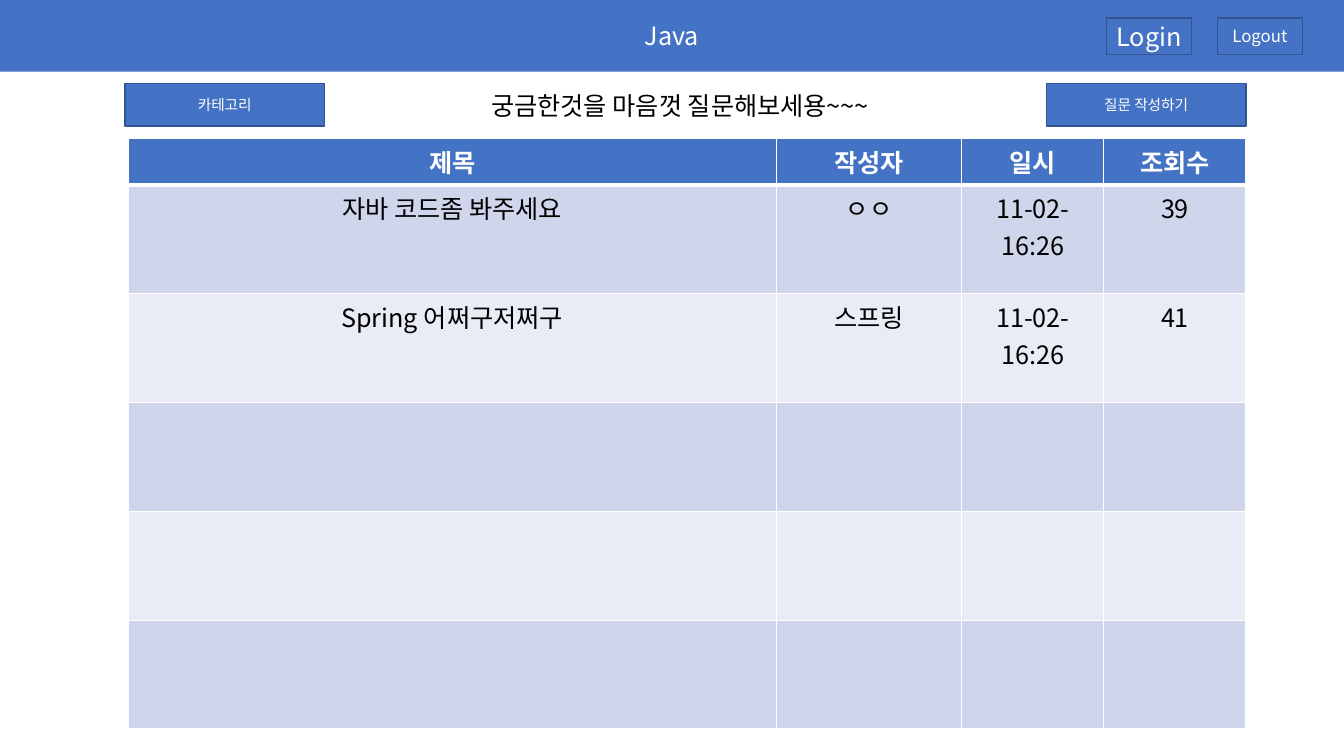
"""Build a question board slide with a banner, buttons and a table of posts."""
from dataclasses import dataclass

from lxml import etree
from pptx import Presentation
from pptx.dml.color import RGBColor
from pptx.enum.shapes import MSO_SHAPE
from pptx.enum.text import MSO_ANCHOR, PP_ALIGN
from pptx.oxml.ns import qn
from pptx.util import Inches, Pt

RECTANGLE = MSO_SHAPE.RECTANGLE
MIDDLE = MSO_ANCHOR.MIDDLE
CENTER = PP_ALIGN.CENTER
SLIDE_WIDTH = Inches(13.333)
SLIDE_HEIGHT = Inches(7.5)


@dataclass(frozen=True)
class Theme:
    font: str = "Noto Sans CJK KR"
    blue: str = "4472C4"
    outline: str = "325491"
    white: str = "FFFFFF"
    black: str = "000000"
    bands: tuple = ("CFD5EA", "E9EBF5")
    body: float = 18
    small: float = 12
    action: float = 10.5
    line: float = 1
    header_line: float = 3


@dataclass(frozen=True)
class Box:
    """Position and size as percentages of the slide."""
    left: float
    top: float
    width: float
    height: float

    def lengths(self) -> tuple:
        return (across(self.left), down(self.top),
                across(self.width), down(self.height))


@dataclass(frozen=True)
class Button:
    label: str
    box: Box
    size: float


THEME = Theme()
BANNER = Box(0, 0, 100, 9.47)
TAGLINE = Box(26.33, 11.33, 48.53, 5.33)
BOARD = Box(9.53, 18.27, 83.19, 77.2)
ACCOUNT_TOP, ACCOUNT_WIDTH, ACCOUNT_HEIGHT = 2.4, 6.3, 4.8
ACTION_TOP, ACTION_WIDTH, ACTION_HEIGHT = 11.07, 14.85, 5.6
BUTTONS = (
    Button("Login", Box(82.35, ACCOUNT_TOP, ACCOUNT_WIDTH, ACCOUNT_HEIGHT), THEME.body),
    Button("Logout", Box(90.6, ACCOUNT_TOP, ACCOUNT_WIDTH, ACCOUNT_HEIGHT), THEME.small),
    Button("질문 작성하기", Box(77.85, ACTION_TOP, ACTION_WIDTH, ACTION_HEIGHT), THEME.action),
    Button("카테고리", Box(9.3, ACTION_TOP, ACTION_WIDTH, ACTION_HEIGHT), THEME.action),
)
COLUMN_WIDTHS = (48.23, 13.8, 10.58, 10.58)
HEADER_HEIGHT, POST_HEIGHT, POST_ROWS = 5.2, 14.4, 5
HEADINGS = ("제목", "작성자", "일시", "조회수")
POSTS = (
    ("자바 코드좀 봐주세요", "ㅇㅇ", "11-02-16:26", "39"),
    ("Spring 어쩌구저쩌구", "스프링", "11-02-16:26", "41"),
)


def across(share: float) -> int:
    return round(SLIDE_WIDTH * share / 100)


def down(share: float) -> int:
    return round(SLIDE_HEIGHT * share / 100)


def paint(fill, color: str) -> None:
    fill.solid()
    fill.fore_color.rgb = RGBColor.from_string(color)


def write(frame, text: str, size: float, color: str, bold: bool = False) -> None:
    paragraph = frame.paragraphs[0]
    paragraph.alignment = CENTER
    run = paragraph.add_run()
    run.text = text
    font = run.font
    font.size, font.bold, font.name = Pt(size), bold, THEME.font
    font.color.rgb = RGBColor.from_string(color)
    east_asian = etree.SubElement(run._r.get_or_add_rPr(), qn("a:ea"))
    east_asian.set("typeface", THEME.font)


def prepare_frame(frame) -> None:
    frame.word_wrap = True
    frame.vertical_anchor = MIDDLE
    frame.margin_left = frame.margin_right = 0
    frame.margin_top = frame.margin_bottom = 0


def add_banner(slide) -> None:
    title = slide.shapes.title
    title.left, title.top, title.width, title.height = BANNER.lengths()
    paint(title.fill, THEME.blue)
    prepare_frame(title.text_frame)
    write(title.text_frame, "Java", THEME.body, THEME.white)


def add_button(slide, button: Button) -> None:
    shape = slide.shapes.add_shape(RECTANGLE, *button.box.lengths())
    shape.shadow.inherit = False
    paint(shape.fill, THEME.blue)
    paint(shape.line.fill, THEME.outline)
    shape.line.width = Pt(THEME.line)
    prepare_frame(shape.text_frame)
    write(shape.text_frame, button.label, button.size, THEME.white)


def add_tagline(slide) -> None:
    frame = slide.shapes.add_textbox(*TAGLINE.lengths()).text_frame
    frame.word_wrap = True
    write(frame, "궁금한것을 마음껏 질문해보세용~~~", THEME.body, THEME.black)


def add_borders(cell, bottom: float) -> None:
    properties = cell._tc.get_or_add_tcPr()
    widths = {"L": THEME.line, "R": THEME.line, "T": THEME.line, "B": bottom}
    for side, width in widths.items():
        border = etree.SubElement(properties, qn(f"a:ln{side}"), w=str(Pt(width)))
        fill = etree.SubElement(border, qn("a:solidFill"))
        etree.SubElement(fill, qn("a:srgbClr"), val=THEME.white)


def add_board(slide) -> None:
    table = slide.shapes.add_table(
        POST_ROWS + 1, len(HEADINGS), *BOARD.lengths()).table
    for column, width in zip(table.columns, COLUMN_WIDTHS):
        column.width = across(width)
    texts = (HEADINGS, *POSTS)
    for index, row in enumerate(table.rows):
        header = index == 0
        row.height = down(HEADER_HEIGHT if header else POST_HEIGHT)
        background = THEME.blue if header else THEME.bands[(index - 1) % 2]
        for position, cell in enumerate(row.cells):
            above_line = index == 1 and THEME.header_line
            add_borders(cell, THEME.header_line if header else THEME.line)
            if above_line:
                cell._tc.tcPr.find(qn("a:lnT")).set("w", str(Pt(above_line)))
            paint(cell.fill, background)
            if index < len(texts):
                write(cell.text_frame, texts[index][position], THEME.body,
                      THEME.white if header else THEME.black, header)


def main() -> None:
    presentation = Presentation()
    presentation.slide_width = SLIDE_WIDTH
    presentation.slide_height = SLIDE_HEIGHT
    title_only = presentation.slide_layouts.get_by_name("Title Only")
    slide = presentation.slides.add_slide(title_only)
    add_banner(slide)
    add_board(slide)
    for button in BUTTONS:
        add_button(slide, button)
    add_tagline(slide)
    presentation.save("out.pptx")


main()
